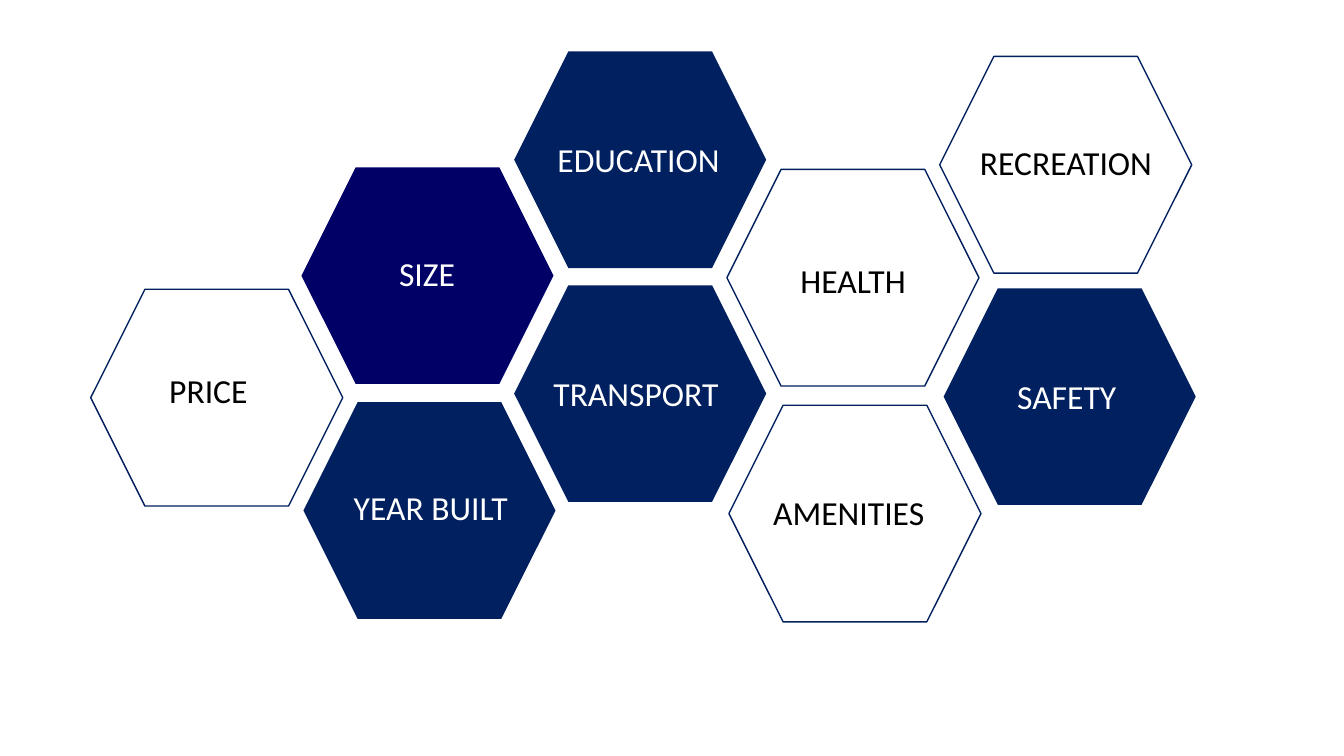
"""Builds a slide of nine labelled hexagons for home-buying factors."""
from pptx import Presentation
from pptx.dml.color import RGBColor
from pptx.enum.shapes import MSO_SHAPE
from pptx.enum.text import MSO_AUTO_SIZE
from pptx.util import Inches, Pt

HEXAGON = MSO_SHAPE.HEXAGON
RECTANGLE = MSO_SHAPE.RECTANGLE
FIT_TEXT = MSO_AUTO_SIZE.SHAPE_TO_FIT_TEXT

COLORS = {"navy": "002060", "indigo": "000066", "white": "FFFFFF", "black": "000000"}
HEXAGON_SIZE = (2.5, 2.15)
PANEL_SIZE = (1.72, 1.49)
PANEL_OFFSET = (0.39, 0.33)
LABEL_HEIGHT = 0.5

FACTORS = [
    ("PRICE", "white", (0.9, 2.87), (1.58, 3.62, 1.72)),
    ("SIZE", "indigo", (2.99, 1.66), (3.86, 2.46, 1.34)),
    ("YEAR BUILT", "navy", (3.01, 3.99), (3.41, 4.78, 2.13)),
    ("TRANSPORT", "navy", (5.1, 2.83), (5.39, 3.65, 2.21)),
    ("EDUCATION", "navy", (5.1, 0.51), (5.43, 1.33, 2.23)),
    ("HEALTH", "white", (7.21, 1.68), (7.84, 2.53, 1.56)),
    ("AMENITIES", "white", (7.23, 4.02), (7.57, 4.83, 2.18)),
    ("SAFETY", "navy", (9.36, 2.86), (9.99, 3.68, 1.54)),
    ("RECREATION", "white", (9.32, 0.56), (9.62, 1.36, 2.32)),
]


def color(name):
    return RGBColor.from_string(COLORS[name])


def add_filled(shapes, kind, position, size, fill, line=None, line_width=1):
    shape = shapes.add_shape(kind, *map(Inches, position + size))
    shape.shadow.inherit = False
    shape.fill.solid()
    shape.fill.fore_color.rgb = color(fill)
    if line:
        shape.line.color.rgb = color(line)
        shape.line.width = Pt(line_width)
    else:
        shape.line.fill.background()


presentation = Presentation()
presentation.slide_width = Inches(13.33)
presentation.slide_height = Inches(7.5)
slide = presentation.slides.add_slide(presentation.slide_layouts[6])

for name, fill, (left, top), label in FACTORS:
    if fill == "white":
        group = slide.shapes.add_group_shape()
        add_filled(group.shapes, HEXAGON, (left, top), HEXAGON_SIZE, fill, "navy")
        panel_position = (left + PANEL_OFFSET[0], top + PANEL_OFFSET[1])
        add_filled(group.shapes, RECTANGLE, panel_position, PANEL_SIZE, fill, "white", 0.75)
    else:
        add_filled(slide.shapes, HEXAGON, (left, top), HEXAGON_SIZE, fill)

for name, fill, hexagon_position, label in FACTORS:
    text_box = slide.shapes.add_textbox(*map(Inches, label + (LABEL_HEIGHT,)))
    text_frame = text_box.text_frame
    text_frame.word_wrap = True
    text_frame.auto_size = FIT_TEXT
    run = text_frame.paragraphs[0].add_run()
    run.text = name
    run.font.name = "Calibri"
    run.font.size = Pt(24)
    run.font.color.rgb = color("black" if fill == "white" else "white")

presentation.save("out.pptx")
